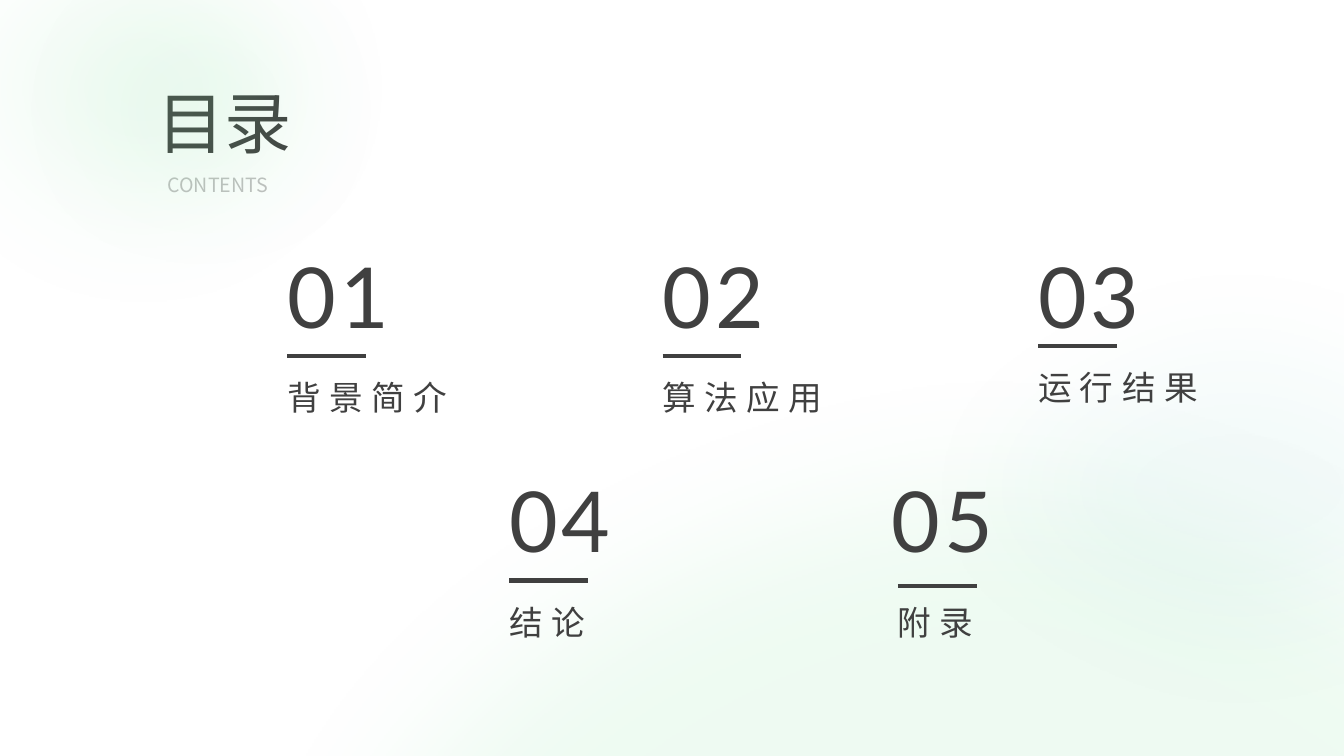
from lxml.etree import SubElement
from pptx import Presentation
from pptx.dml.color import RGBColor
from pptx.enum.shapes import MSO_CONNECTOR, MSO_SHAPE
from pptx.enum.text import MSO_ANCHOR, MSO_AUTO_SIZE, PP_ALIGN
from pptx.oxml.ns import qn
from pptx.util import Cm, Pt

COLORS = {"ink": "404040", "muted": "C0C0C0", "green": "7BDF9B", "teal": "25AE9E"}
CJK = "Noto Sans CJK SC"
STYLES = {
    "title": {"name": CJK, "size": Pt(48), "bold": False, "color": "ink"},
    "subtitle": {"name": CJK, "size": Pt(14), "color": "muted"},
    "number": {"name": "Lato", "size": Pt(60), "color": "ink", "spacing": 300},
    "label": {"name": CJK, "size": Pt(24), "color": "ink", "spacing": 600},
}
TITLE = ("目录", (3.96, 2.06, 5.51, 2.06))
SUBTITLE = ("CONTENTS", (4.22, 4.37, 5.26, 0.61))
GLOWS = [
    ((-4.9, -5.08, 17.04, 14.61), "green", 13),
    ((5.05, 8.46, 40.06, 26.9), "green", 13),
    ((-2.24, -3.18, 14.61, 11.89), "green", 13),
    ((20.29, 4.98, 21.84, 14.66), "teal", 6),
]
SOFT_EDGE = Pt(100)
ROWS = [
    (6.15, 7.24, 9.46, ["背景简介", "算法应用", "运行结果"]),
    (11.81, 12.83, 9.65, ["结论", "附录"]),
]
NUMBER_SIZE = (3.07, 2.57)
LABEL_SIZE = (5.77, 1.02)
RULE_WIDTH = 1.98
RULE_DROP, LABEL_DROP = 2.82, 3.35
NUDGES = {
    "运行结果": {"rule": -0.26, "label": -0.26},
    "附录": {"x": 0.15, "rule": 0.13},
}


def rgb(name):
    return RGBColor.from_string(COLORS[name])


def write(sp, text, style, align=PP_ALIGN.LEFT):
    tf = sp.text_frame
    frame = {"margin_left": 0, "margin_right": 0, "margin_top": 0, "margin_bottom": 0,
             "word_wrap": True, "auto_size": MSO_AUTO_SIZE.SHAPE_TO_FIT_TEXT,
             "vertical_anchor": MSO_ANCHOR.TOP}
    for key, value in frame.items():
        setattr(tf, key, value)
    p = tf.paragraphs[0]
    p.alignment, p.line_spacing, p.space_before = align, 1.0, Pt(0)
    r = p.add_run()
    r.text = text
    for key, value in STYLES[style].items():
        if key == "color":
            r.font.color.rgb = rgb(value)
        elif key == "spacing":
            r.font._element.set("spc", str(value))
        else:
            setattr(r.font, key, value)
    SubElement(r.font._element, qn("a:ea"), typeface=STYLES[style]["name"])


def add_text(slide, text, box, style, align=PP_ALIGN.LEFT):
    write(slide.shapes.add_textbox(*map(Cm, box)), text, style, align)


def add_glow(slide, box, color, opacity):
    sp = slide.shapes.add_shape(MSO_SHAPE.OVAL, *map(Cm, box))
    sp.fill.solid()
    sp.fill.fore_color.rgb = rgb(color)
    sp.line.fill.background()
    fill = sp._element.spPr.find(qn("a:solidFill"))
    SubElement(fill[0], qn("a:alpha"), val=str(opacity * 1000))
    effects = SubElement(sp._element.spPr, qn("a:effectLst"))
    SubElement(effects, qn("a:softEdge"), rad=str(int(SOFT_EDGE)))


def add_rule(slide, x, y):
    line = slide.shapes.add_connector(
        MSO_CONNECTOR.STRAIGHT, Cm(x), Cm(y), Cm(x + RULE_WIDTH), Cm(y))
    line.line.color.rgb = rgb("ink")
    line.line.width = Pt(3)
    SubElement(line._element.spPr, qn("a:effectLst"))


def main():
    prs = Presentation()
    prs.slide_width, prs.slide_height = Cm(33.87), Cm(19.05)
    slide = prs.slides.add_slide(prs.slide_layouts[5])

    text, box = TITLE
    title = slide.shapes.title
    for key, value in zip(("left", "top", "width", "height"), box):
        setattr(title, key, Cm(value))
    write(title, text, "title", PP_ALIGN.JUSTIFY)
    add_text(slide, *SUBTITLE, "subtitle", PP_ALIGN.JUSTIFY)

    for glow in GLOWS:
        add_glow(slide, *glow)

    number = 0
    for top, left, step, labels in ROWS:
        for col, label in enumerate(labels):
            number += 1
            x = left + col * step
            nudge = NUDGES.get(label, {})
            label_x = x + nudge.get("x", 0)
            rule_y = top + RULE_DROP + nudge.get("rule", 0)
            label_y = top + LABEL_DROP + nudge.get("label", 0)
            add_text(slide, f"{number:02d}", (x, top, *NUMBER_SIZE), "number")
            add_rule(slide, label_x, rule_y)
            add_text(slide, label, (label_x, label_y, *LABEL_SIZE), "label")

    prs.save("out.pptx")


if __name__ == "__main__":
    main()
